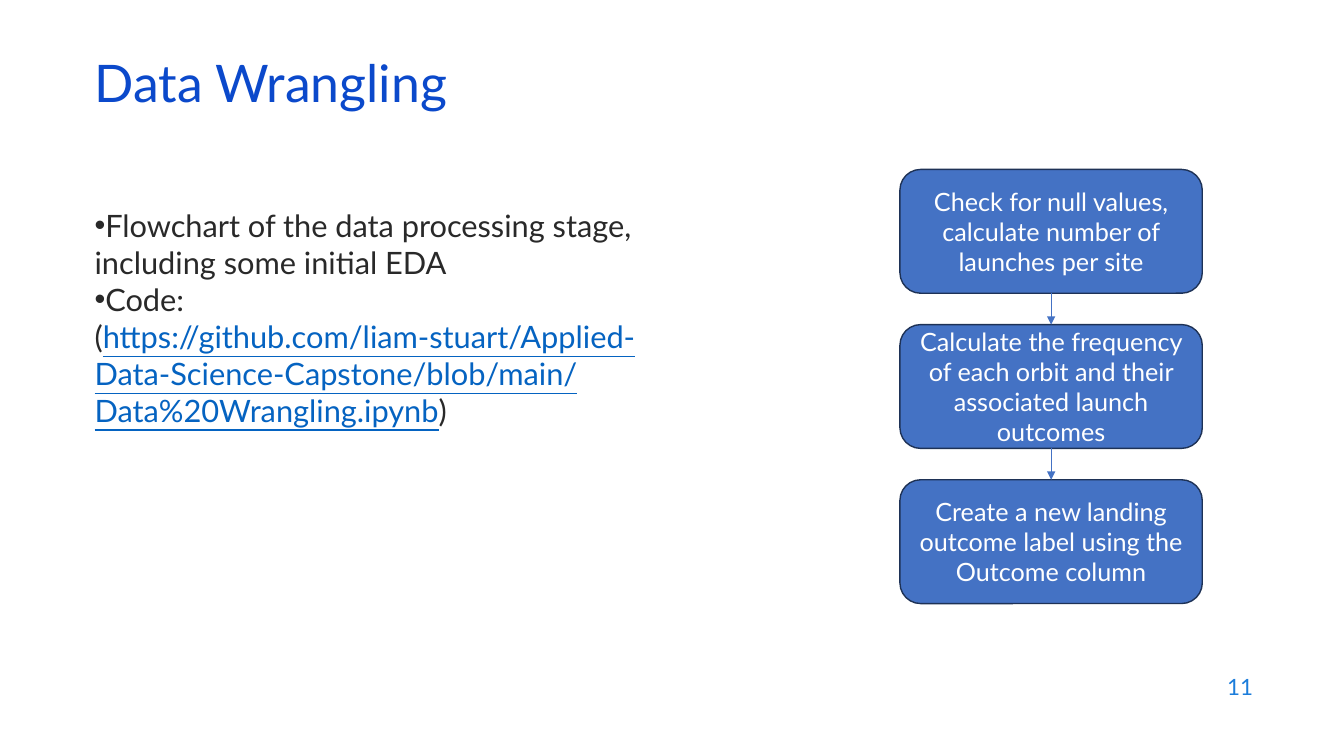
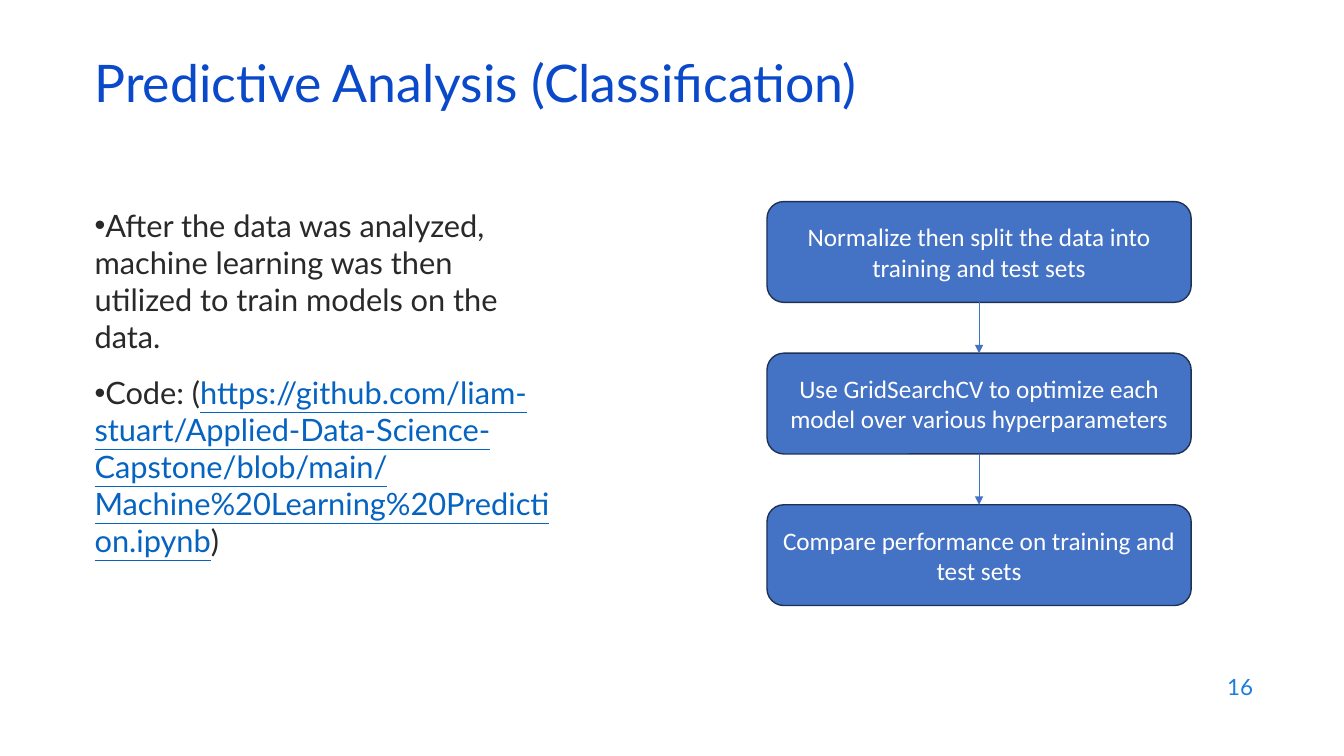
from dataclasses import dataclass
from itertools import pairwise

from lxml import etree
from pptx import Presentation
from pptx.dml.color import RGBColor
from pptx.enum.shapes import MSO_CONNECTOR as Connector, MSO_SHAPE as Shape
from pptx.enum.text import MSO_ANCHOR as Anchor, MSO_AUTO_SIZE as AutoSize, PP_ALIGN as Align
from pptx.oxml.ns import qn
from pptx.util import Cm, Pt


@dataclass(frozen=True)
class Theme:
    font: str = "Lato"
    title: str = "0B49CB"
    body: str = "292929"
    link: str = "0563C1"
    number: str = "1C7DDB"
    step_fill: str = "4472C4"
    step_edge: str = "1E3256"
    step_text: str = "FFFFFF"
    title_size: int = 37
    body_size: int = 22
    step_size: int = 18
    number_size: int = 16


THEME = Theme()
REPOSITORY = "https://github.com/liam-stuart/Applied-Data-Science-Capstone/blob/main/"

# Content; lengths in centimetres
PAGES = [
    dict(
        title="Data Wrangling", number="11",
        summary="Flowchart of the data processing stage, including some initial EDA",
        notebook="Data%20Wrangling.ipynb", link_on_new_line=True,
        body_width=15.65, bullet_gap=0,
        step_font="Lato", left=22.68, top=4.27, width=7.62, height=3.12, pitch=3.91,
        steps=["Check for null values, calculate number of launches per site",
               "Calculate the frequency of each orbit and their associated launch outcomes",
               "Create a new landing outcome label using the Outcome column"],
    ),
    dict(
        title="Predictive Analysis (Classification)", number="16",
        summary="After the data was analyzed, machine learning was then utilized "
                "to train models on the data.",
        notebook="Machine%20Learning%20Prediction.ipynb", link_on_new_line=False,
        body_width=12.09, bullet_gap=14,
        step_font="Calibri", left=19.33, top=5.08, width=10.69, height=2.54, pitch=3.82,
        steps=["Normalize then split the data into training and test sets",
               "Use GridSearchCV to optimize each model over various hyperparameters",
               "Compare performance on training and test sets"],
    ),
]


def style(paragraph, size, color, align, font=THEME.font):
    paragraph.alignment = align
    paragraph.font.name = font
    paragraph.font.size = Pt(size)
    paragraph.font.color.rgb = RGBColor.from_string(color)


def place(shape, left, top, width, height):
    shape.left, shape.top = Cm(left), Cm(top)
    shape.width, shape.height = Cm(width), Cm(height)


deck = Presentation()
deck.slide_width, deck.slide_height = Cm(33.87), Cm(19.05)

for page in PAGES:
    slide = deck.slides.add_slide(deck.slide_layouts[1])

    # Title
    title = slide.shapes.title
    place(title, 2.13, 1.5, 29.21, 1.52)
    title.text_frame.text = page["title"]
    title.text_frame.auto_size = AutoSize.NONE
    title.text_frame.vertical_anchor = Anchor.MIDDLE
    heading = title.text_frame.paragraphs[0]
    heading.line_spacing = 0.7
    style(heading, THEME.title_size, THEME.title, Align.LEFT)

    # Bullets: summary and code address
    body = slide.placeholders[1]
    place(body, 2.13, 5.08, page["body_width"], 12.09)
    body.text_frame.auto_size = AutoSize.NONE
    summary = body.text_frame.paragraphs[0]
    summary.add_run().text = page["summary"]
    code = body.text_frame.add_paragraph()
    if page["link_on_new_line"]:
        code.add_run().text = "Code:"
        code.add_line_break()
        code.add_run().text = "("
    else:
        code.add_run().text = "Code: ("
    address = code.add_run()
    address.text = REPOSITORY + page["notebook"]
    address.font.underline = True
    address.font.color.rgb = RGBColor.from_string(THEME.link)
    code.add_run().text = ")"
    for bullet, gap in ((summary, 0), (code, page["bullet_gap"])):
        properties = bullet._p.get_or_add_pPr()
        properties.set("marL", "0")
        properties.set("indent", "0")
        etree.SubElement(properties, qn("a:buChar")).set("char", "•")
        bullet.space_before = Pt(gap)
        style(bullet, THEME.body_size, THEME.body, Align.LEFT)

    # Flowchart steps
    steps = []
    for row, label in enumerate(page["steps"]):
        step = slide.shapes.add_shape(
            Shape.ROUNDED_RECTANGLE, Cm(page["left"]), Cm(page["top"] + row * page["pitch"]),
            Cm(page["width"]), Cm(page["height"]))
        step.shadow.inherit = False
        step.fill.solid()
        step.fill.fore_color.rgb = RGBColor.from_string(THEME.step_fill)
        step.line.color.rgb = RGBColor.from_string(THEME.step_edge)
        step.line.width = Pt(1)
        step.text_frame.text = label
        step.text_frame.word_wrap = True
        step.text_frame.vertical_anchor = Anchor.MIDDLE
        style(step.text_frame.paragraphs[0], THEME.step_size, THEME.step_text,
              Align.CENTER, page["step_font"])
        steps.append(step)

    # Arrows from the bottom of each step to the top of the next
    for upper, lower in pairwise(steps):
        arrow = slide.shapes.add_connector(Connector.STRAIGHT, 0, 0, 0, 0)
        arrow.begin_connect(upper, 2)
        arrow.end_connect(lower, 0)
        arrow.line.color.rgb = RGBColor.from_string(THEME.step_fill)
        arrow.line.width = Pt(0.5)
        outline = arrow._element.spPr
        etree.SubElement(outline.find(qn("a:ln")), qn("a:tailEnd")).set("type", "triangle")
        etree.SubElement(outline, qn("a:effectLst"))

    # Page number
    number = slide.shapes.add_textbox(Cm(24.21), Cm(16.74), Cm(7.62), Cm(1.12))
    number.text_frame.text = page["number"]
    number.text_frame.word_wrap = True
    number.text_frame.vertical_anchor = Anchor.MIDDLE
    style(number.text_frame.paragraphs[0], THEME.number_size, THEME.number, Align.RIGHT)

deck.save("out.pptx")
